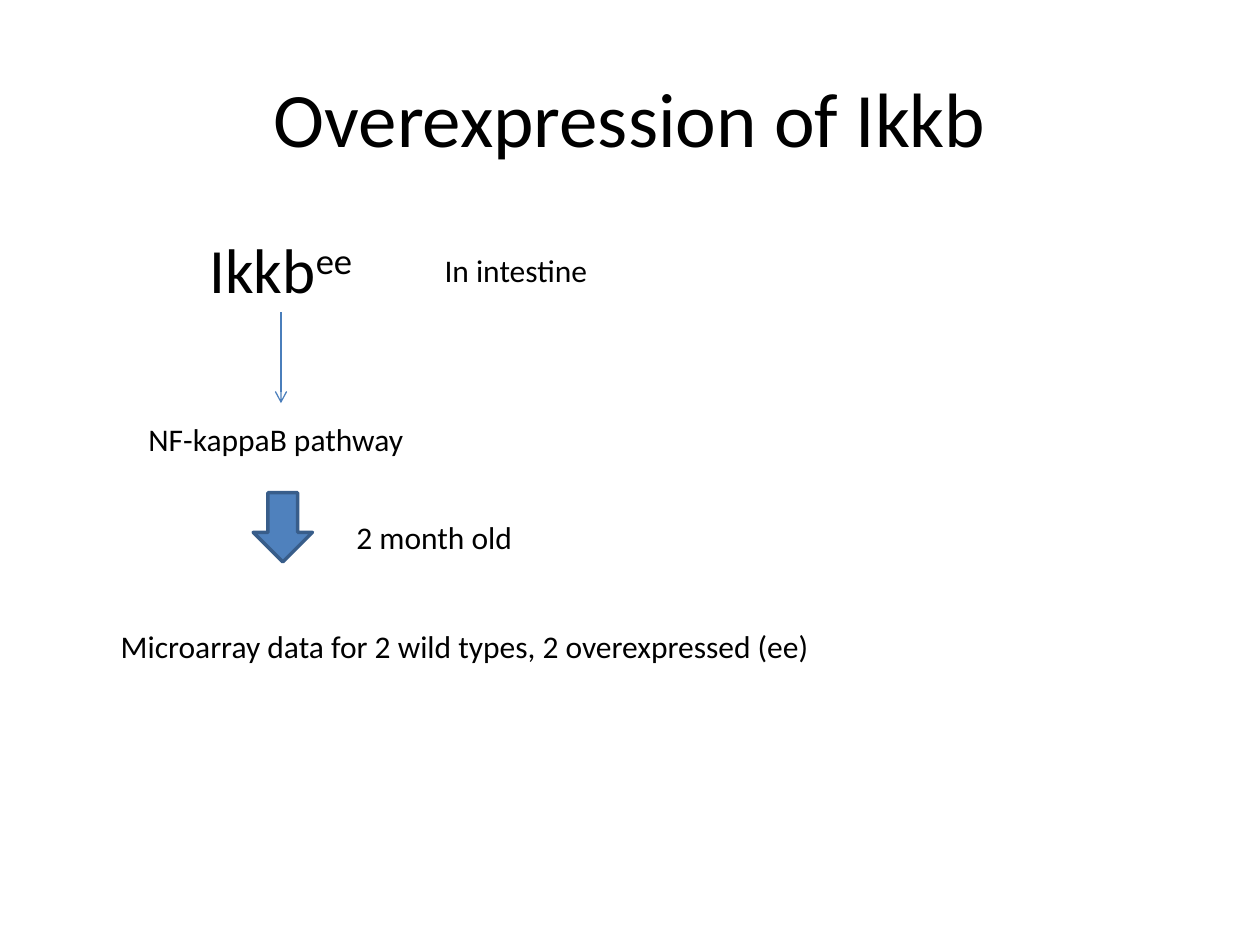
import pptx
import pptx.dml.color
import pptx.enum.shapes
import pptx.enum.text
import pptx.oxml
import pptx.oxml.ns
import pptx.util

rgb = pptx.dml.color.RGBColor.from_string
Pt = pptx.util.Pt
THEME = {
    "font": "Calibri", "title": 44, "gene": 36, "body": 18,
    "text": rgb("000000"), "line": rgb("4A7EBB"),
    "fill": rgb("4F81BD"), "outline": rgb("385D8A"),
}

prs = pptx.Presentation()
prs.slide_width = pptx.util.Inches(10)
prs.slide_height = pptx.util.Inches(7.5)
COL, ROW = prs.slide_width / 100, prs.slide_height / 75
s = prs.slides.add_slide(prs.slide_layouts[5])


def cells(left, top, width, height):
    """Turn grid columns and rows into lengths."""
    return int(left * COL), int(top * ROW), int(width * COL), int(height * ROW)


def write(sp, text, *, size, superscript="", align="LEFT", wrap=False):
    tf = sp.text_frame
    tf.word_wrap = wrap
    tf.vertical_anchor = pptx.enum.text.MSO_ANCHOR.MIDDLE
    p = tf.paragraphs[0]
    p.alignment = pptx.enum.text.PP_ALIGN[align]
    for part, baseline in ((text, None), (superscript, "30000")):
        if part:
            r = p.add_run()
            r.text = part
            r.font.name, r.font.size = THEME["font"], Pt(THEME[size])
            r.font.color.rgb = THEME["text"]
            if baseline:
                r.font._element.set("baseline", baseline)
    return sp


title = s.shapes.title
title.left, title.top, title.width, title.height = cells(5, 3, 90, 12.5)
write(title, "Overexpression of Ikkb", size="title", align="CENTER", wrap=True)

# The gene, its pathway and the block arrow share one vertical axis
AXIS = 22.3
gene = s.shapes.add_textbox(*cells(AXIS - 6.65, 17.8, 13.3, 7))
write(gene, "Ikkb", size="gene", superscript="ee")

labels = [
    ("NF-kappaB pathway", AXIS - 11.5, 32.8, 22.4),
    ("In intestine", 34.3, 19.4, 13.4),
    ("2 month old", 27.3, 40.6, 14.4),
    ("Microarray data for 2 wild types, 2 overexpressed (ee)", 8.6, 49.3, 57),
]
for text, left, top, width in labels:
    write(s.shapes.add_textbox(*cells(left, top, width, 4)), text, size="body")

x, y, _, length = cells(AXIS, 24.8, 0, 7.2)
activation = s.shapes.add_connector(
    pptx.enum.shapes.MSO_CONNECTOR.STRAIGHT, x, y, x, y + length)
activation.begin_connect(gene, 2)
activation.line.color.rgb = THEME["line"]
activation.line.width = Pt(0.75)
ns = pptx.oxml.ns.nsdecls("a")
activation.line._get_or_add_ln().append(
    pptx.oxml.parse_xml(f'<a:tailEnd {ns} type="arrow"/>'))
activation._element.spPr.append(pptx.oxml.parse_xml(f"<a:effectLst {ns}/>"))

step = s.shapes.add_shape(
    pptx.enum.shapes.MSO_SHAPE.DOWN_ARROW, *cells(AXIS - 2.2, 39.1, 4.7, 5.5))
step.shadow.inherit = False
step.fill.solid()
step.fill.fore_color.rgb = THEME["fill"]
step.line.color.rgb = THEME["outline"]
step.line.width = Pt(2)

prs.save("out.pptx")
